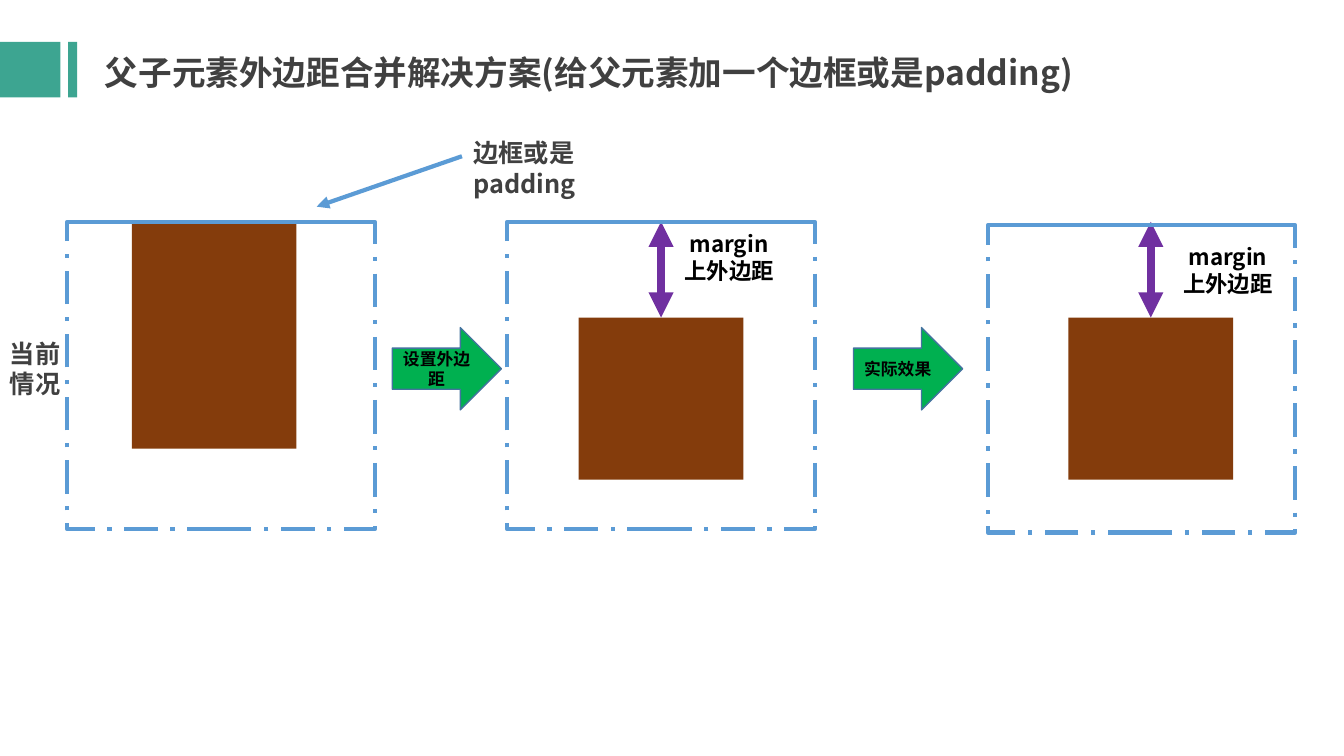
from pptx import Presentation
from pptx import util as u
from pptx.dml.color import RGBColor
from pptx.enum import dml, shapes, text
from pptx.oxml import ns
from lxml import etree

FONT = "Noto Sans CJK SC"
TEAL, BLUE, BROWN = "3DA591", "5B9BD5", "843C0C"
PURPLE, GREEN, EDGE = "7030A0", "00B050", "43739E"
GREY, BLACK = "404040", "000000"
COLUMNS, ROWS = 160, 90


def color(value):
    return RGBColor.from_string(value)


def write(box, content, size=18, ink=GREY, align=text.PP_ALIGN.LEFT,
          anchor=text.MSO_ANCHOR.TOP):
    """Fill a box with bold text, one paragraph per line."""
    frame = box.text_frame
    frame.word_wrap = True
    frame.vertical_anchor = anchor
    for index, line in enumerate(content.split("\n")):
        para = frame.add_paragraph() if index else frame.paragraphs[0]
        para.alignment = align
        para.line_spacing = u.Pt(round(size * 1.2, 1))
        span = para.add_run()
        span.text = line
        span.font.name, span.font.size = FONT, u.Pt(size)
        span.font.bold = True
        span.font.color.rgb = color(ink)
        east_asian = etree.SubElement(span._r.get_or_add_rPr(), ns.qn("a:ea"))
        east_asian.set("typeface", FONT)


class Canvas:
    """Current slide, measured in grid columns and rows."""

    def __init__(self, deck):
        self.page = deck.slides.add_slide(deck.slide_layouts[6])
        self.column = deck.slide_width / COLUMNS
        self.row = deck.slide_height / ROWS

    def place(self, *lengths):
        steps = (self.column, self.row) * 2
        return [u.Emu(round(n * step)) for n, step in zip(lengths, steps)]

    def shape(self, area, kind=shapes.MSO_SHAPE.RECTANGLE, fill=None,
              line=None, weight=1, dash=None):
        box = self.page.shapes.add_shape(kind, *self.place(*area))
        box.shadow.inherit = False
        if fill:
            box.fill.solid()
            box.fill.fore_color.rgb = color(fill)
        else:
            box.fill.background()
        if line:
            box.line.color.rgb = color(line)
            box.line.width = u.Pt(weight)
            box.line.dash_style = dash
        else:
            box.line.fill.background()
        return box

    def label(self, area, content, **style):
        box = self.page.shapes.add_textbox(*self.place(*area))
        write(box, content, **style)

    def line(self, ends, ink=BLUE, weight=3, heads=()):
        link = self.page.shapes.add_connector(
            shapes.MSO_CONNECTOR.STRAIGHT, *self.place(*ends))
        link.line.color.rgb = color(ink)
        link.line.width = u.Pt(weight)
        for head in heads:
            tip = etree.SubElement(link.line._get_or_add_ln(), ns.qn("a:" + head))
            tip.set("type", "triangle")
        etree.SubElement(link._element.spPr, ns.qn("a:effectLst"))

    def parent(self, left, top, side=36.6):
        self.shape((left, top, side, side), line=BLUE, weight=3,
                   dash=dml.MSO_LINE.LONG_DASH_DOT)
        return left, top, left + side, top

    def step(self, left, content):
        arrow = self.shape((left, 39, 13, 9.8), shapes.MSO_SHAPE.RIGHT_ARROW,
                           fill=GREEN, line=EDGE)
        write(arrow, content, size=12, ink=BLACK, align=text.PP_ALIGN.CENTER,
              anchor=text.MSO_ANCHOR.MIDDLE)


deck = Presentation()
deck.slide_width, deck.slide_height = u.Inches(13.33), u.Inches(7.5)
canvas = Canvas(deck)

# Title with its teal bars
for left, width in ((0, 7.2), (8.1, 1.1)):
    canvas.shape((left, 5, width, 6.6), fill=TEAL)
title = canvas.shape((11.3, 5.6, 124.7, 6), fill="FFFFFF")
write(title, "父子元素外边距合并解决方案(给父元素加一个边框或是padding)",
      size=24, anchor=text.MSO_ANCHOR.MIDDLE)

# Current state: child touches the top of its parent
child_width = 19.6
border = canvas.parent(8, 26.4)
canvas.shape((15.7, 26.4, child_width, 27), fill=BROWN)
canvas.line(border)
canvas.label((0, 39.7, 8.9, 8.5), "当前情况")

# Child pushed down by its margin: parent left and top, child left, label corner
child_top = 37.8
for left, top, child_left, label_left, label_top in (
        (60.4, 26.4, 68.9, 79.3, 26.8),
        (117.6, 26.8, 127.2, 138.7, 28.4)):
    border = canvas.parent(left, top)
    canvas.shape((child_left, child_top, child_width, 19.3), fill=BROWN)
    middle = child_left + child_width / 2
    canvas.line((middle, child_top, middle, 26.4), ink=PURPLE, weight=6,
                heads=("headEnd", "tailEnd"))
    canvas.label((label_left, label_top, 15, 7.7), "margin\n上外边距",
                 size=16, ink=BLACK, align=text.PP_ALIGN.CENTER)
    canvas.line(border)

# Steps between the states
for left, content in ((46.7, "设置外边距"), (101.6, "实际效果")):
    canvas.step(left, content)

# Pointer to the added border
canvas.line((55, 18.6, 37.7, 24.6), heads=("tailEnd",))
canvas.label((55.2, 15.8, 16, 8.5), "边框或是padding")

deck.save("out.pptx")
